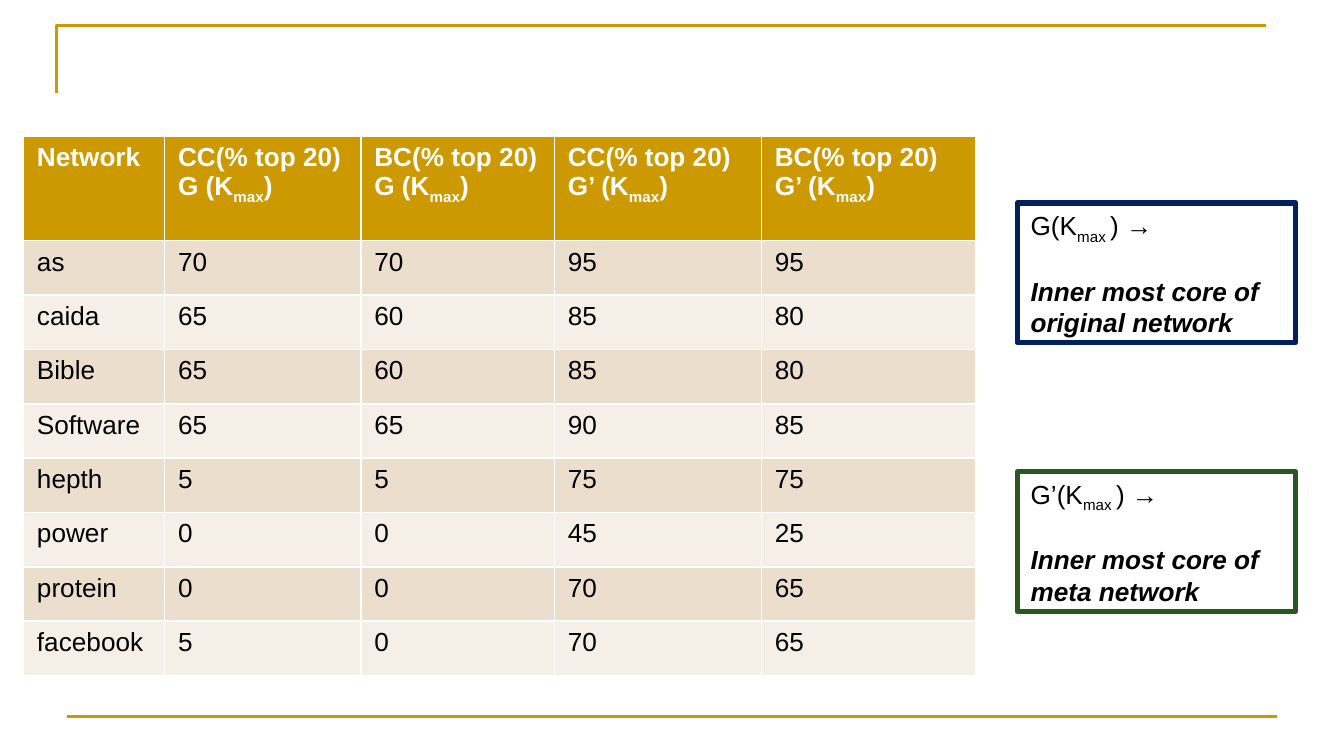
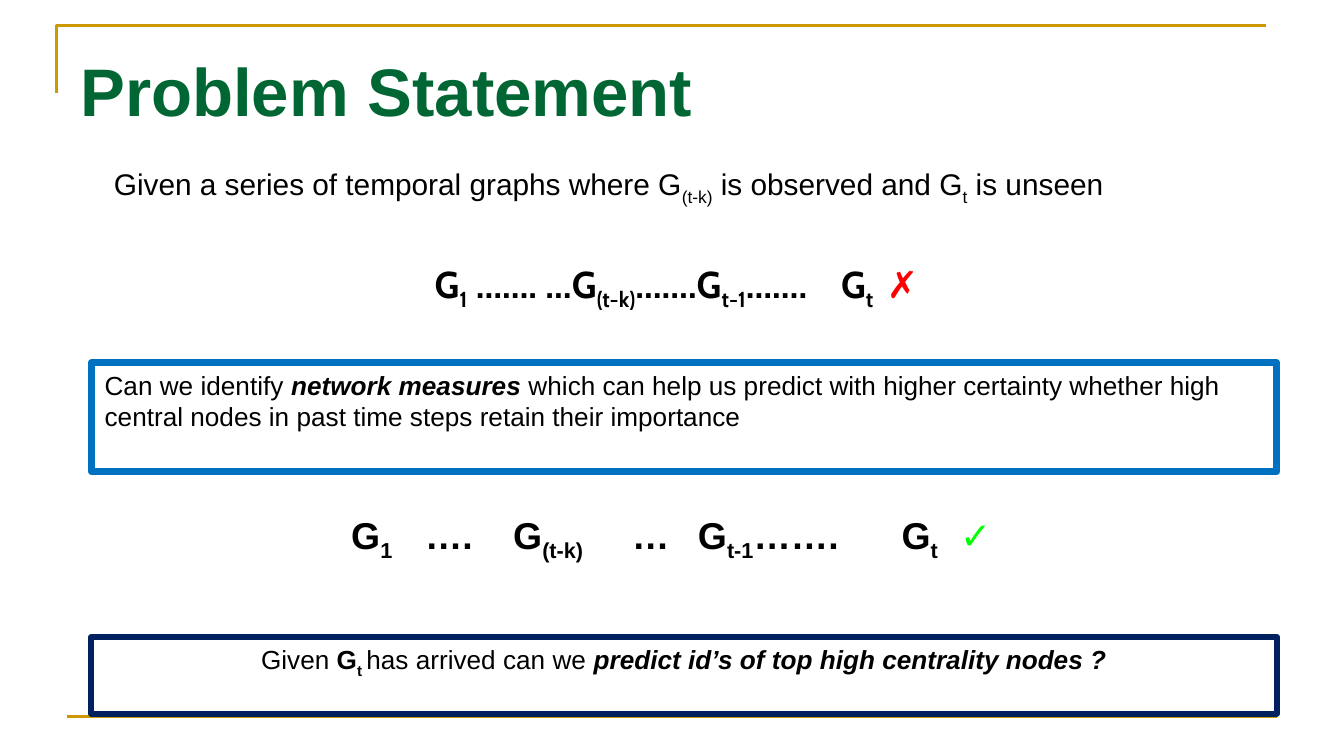
from lxml import etree
from pptx import Presentation
from pptx import util as u
from pptx.dml.color import RGBColor
from pptx.enum import shapes, text
from pptx.oxml.ns import qn

PX = 4572  # 200 px to the inch
FONT = "Arial"
HUES = {
    "gold": "CC9900", "sand": "ECDECC", "cream": "F6EFE7",
    "white": "FFFFFF", "black": "000000", "green": "006633",
    "navy": "002060", "moss": "285720", "blue": "0070C0",
    "red": "FF0000", "lime": "00FF00",
}


def px(n):
    return u.Emu(n * PX)


def hue(name):
    return RGBColor.from_string(HUES[name])


class Deck:
    def __init__(self):
        self.prs = Presentation()
        self.prs.slide_width, self.prs.slide_height = px(2000), px(1125)

    def page(self):
        """Start a slide with the gold corner and the foot rule."""
        self.slide = self.prs.slides.add_slide(self.prs.slide_layouts[6])
        self.items = self.slide.shapes
        pen = self.items.build_freeform(84, 138, scale=PX)
        pen.add_line_segments([(84, 38), (1884, 38)], close=False)
        edge = pen.convert_to_shape()
        edge.shadow.inherit = False
        edge.fill.background()
        self.stroke(edge, "gold", 1.5)
        rule = self.items.add_connector(
            shapes.MSO_CONNECTOR.STRAIGHT, px(100), px(1066), px(1900), px(1066))
        etree.SubElement(rule._element.spPr, qn("a:effectLst"))
        self.stroke(rule, "gold", 1.5)

    def stroke(self, item, color, width):
        item.line.color.rgb = hue(color)
        item.line.width = u.Pt(width)

    def fill_in(self, para, runs, size=14, color="black", font=FONT, bold=False):
        """Add (text, marks, color) runs; marks: _ subscript, b bold, i italic."""
        for words, marks, *tint in runs:
            run = para.add_run()
            run.text = words
            face = run.font
            face.name, face.size = font, u.Pt(size)
            face.bold, face.italic = bold or "b" in marks, "i" in marks
            face.color.rgb = hue(tint[0] if tint else color)
            if "_" in marks:
                run._r.get_or_add_rPr().set("baseline", "-25000")

    def stops(self, para, places):
        """Set left tab stops, in px from the text edge."""
        tabs = etree.SubElement(para._p.get_or_add_pPr(), qn("a:tabLst"))
        for place in places:
            etree.SubElement(tabs, qn("a:tab"), pos=str(px(place)), algn="l")

    def label(self, at):
        box = self.items.add_textbox(*map(px, at))
        box.text_frame.word_wrap = True
        return box.text_frame

    def title(self, words):
        para = self.label((100, 63, 1800, 134)).paragraphs[0]
        self.fill_in(para, [(words, "b")], 36, "green")

    def frame(self, at, color, width, lines, align="LEFT"):
        """Draw an outlined box; later lines stand one line apart."""
        box = self.items.add_shape(shapes.MSO_SHAPE.RECTANGLE, *map(px, at))
        box.shadow.inherit = False
        box.fill.background()
        self.stroke(box, color, width)
        body = box.text_frame
        body.word_wrap = True
        body.vertical_anchor = text.MSO_ANCHOR.TOP
        for n, runs in enumerate(lines):
            para = body.add_paragraph() if n else body.paragraphs[0]
            para.alignment = text.PP_ALIGN[align]
            if n:
                para.space_before = u.Pt(16)
            self.fill_in(para, runs)

    def table(self, at, cols, tall, head, rows):
        """Draw a table; tall gives the head and body row heights."""
        grid = self.items.add_table(
            len(rows) + 1, len(cols), px(at[0]), px(at[1]),
            px(sum(cols)), px(tall[0] + tall[1] * len(rows))).table
        for col, wide in zip(grid.columns, cols):
            col.width = px(wide)
        for r, row in enumerate([head, *rows]):
            grid.rows[r].height = px(tall[min(r, 1)])
            fill = ("cream", "sand")[r % 2] if r else "gold"
            for c, lines in enumerate(row):
                cell = grid.cell(r, c)
                cell.fill.solid()
                cell.fill.fore_color.rgb = hue(fill)
                body = cell.text_frame
                for n, runs in enumerate(lines):
                    para = body.add_paragraph() if n else body.paragraphs[0]
                    self.fill_in(para, runs, color="black" if r else "white",
                                 bold=not r)


NETS = [
    ("as", 70, 70, 95, 95),
    ("caida", 65, 60, 85, 80),
    ("Bible", 65, 60, 85, 80),
    ("Software", 65, 65, 90, 85),
    ("hepth", 5, 5, 75, 75),
    ("power", 0, 0, 45, 25),
    ("protein", 0, 0, 70, 65),
    ("facebook", 5, 0, 70, 65),
]


def cores(deck):
    deck.page()
    head = [[[("Network", "")]]]
    for graph in ("G", "G’"):
        for rank in ("CC", "BC"):
            head.append([[(f"{rank}(% top 20)", "")],
                         [(f"{graph} (K", ""), ("max", "_"), (")", "")]])
    rows = [[[[(str(item), "")]] for item in net] for net in NETS]
    deck.table((35, 202), (210, 292, 288, 308, 319), (156, 81), head, rows)
    keys = [("G", "original", "navy", 3), ("G’", "meta", "moss", 2.75)]
    for n, (graph, kind, color, width) in enumerate(keys):
        deck.frame((1514, 302 + 400 * n, 414, 208), color, width, [
            [(f"{graph}(K", ""), ("max ", "_"), (") →", "")],
            [(f"Inner most core of {kind} network", "bi")]])


def problem(deck):
    deck.page()
    deck.title("Problem Statement")
    body = deck.label((100, 237, 1800, 250))
    lead = body.paragraphs[0]
    lead._p.get_or_add_pPr().set("marL", str(px(50)))
    deck.fill_in(lead, [
        ("Given a series of temporal graphs where G", ""), ("(t-k)", "_"),
        (" is observed and G", ""), ("t", "_"), (" is unseen", "")], 16)
    past = body.add_paragraph()
    past.space_before = u.Pt(29)
    deck.stops(past, (527, 1132, 1200))
    deck.fill_in(past, [
        ("\tG", ""), ("1", "_"), (" ……. …G", ""), ("(t-k)", "_"),
        ("…….G", ""), ("t-1", "_"), ("…….\tG", ""), ("t", "_"),
        ("\t✗", "", "red")], 20, font="Cabin", bold=True)

    now = deck.label((426, 752, 1540, 222)).paragraphs[0]
    deck.stops(now, (77, 187, 318, 495, 593, 896, 983))
    deck.fill_in(now, [
        ("\tG", "b"), ("1", "b_"), ("\t….\tG", "b"), ("(t-k)", "b_"),
        ("\t…\tG", "b"), ("t-1", "b_"), ("…….\tG", "b"), ("t", "b_"),
        ("\t✓", "", "lime")], 20)

    deck.frame((136, 540, 1764, 162), "blue", 3.75, [[
        ("Can we identify ", ""), ("network measures ", "bi"),
        ("which can help us predict with higher certainty whether high "
         "central nodes in past time steps retain their importance", "")]])
    deck.frame((136, 948, 1764, 114), "navy", 3.25, [[
        ("Given ", ""), ("G", "b"), ("t ", "b_"), ("has arrived can we ", ""),
        ("predict id’s of top high centrality nodes ?", "bi")]], "CENTER")


def main():
    deck = Deck()
    cores(deck)
    problem(deck)
    deck.prs.save("out.pptx")


if __name__ == "__main__":
    main()
